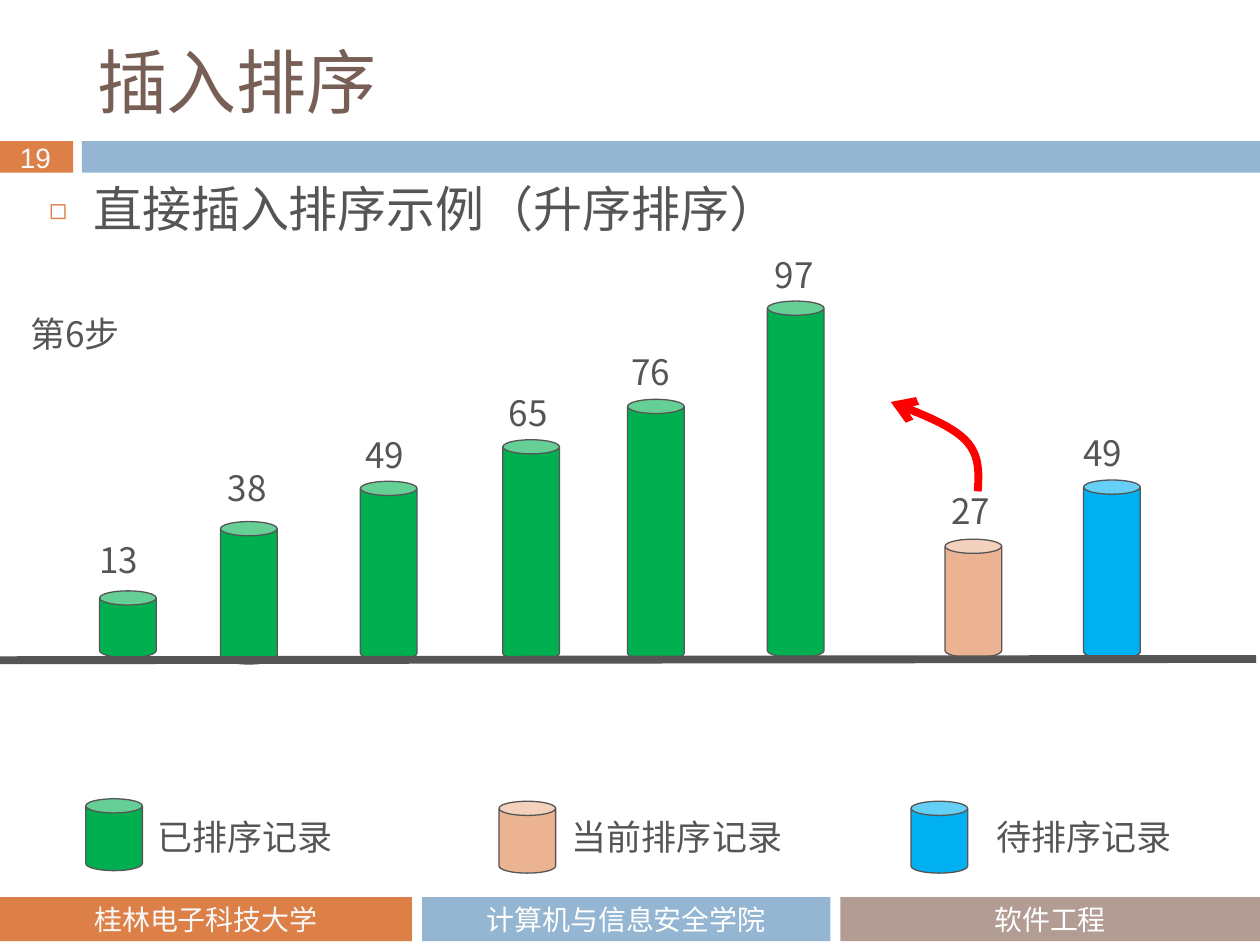
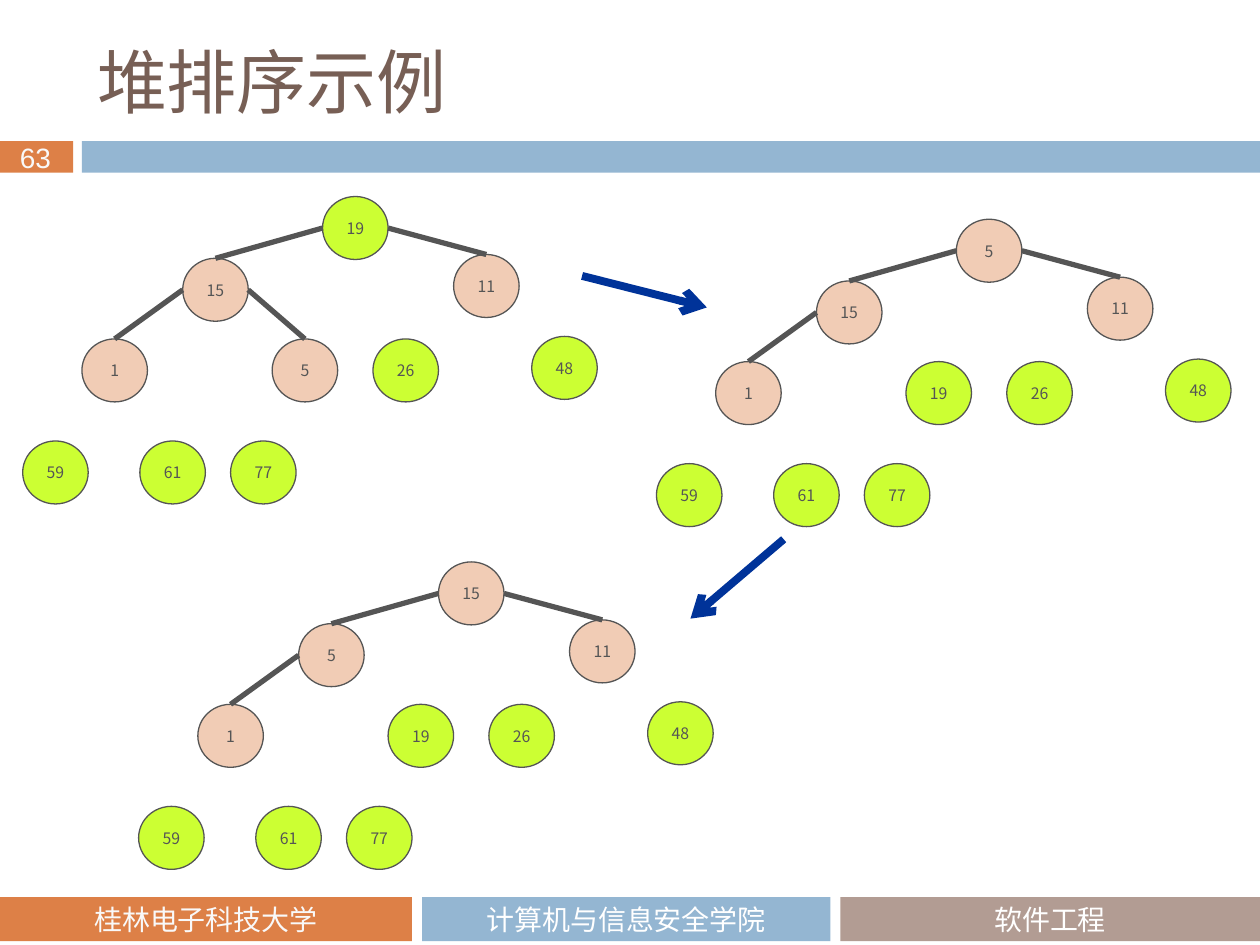
"""Build two sorting lecture slides: an insertion sort step and heap sort stages."""
from dataclasses import dataclass
from typing import NamedTuple

from lxml.etree import SubElement
from pptx import Presentation
from pptx.dml.color import RGBColor
from pptx.enum.shapes import MSO_CONNECTOR, MSO_SHAPE
from pptx.enum.text import MSO_ANCHOR as Anchor, MSO_AUTO_SIZE as AutoSize, PP_ALIGN as Align
from pptx.oxml.ns import qn
from pptx.util import Pt

PX = 9144

WHITE = RGBColor(0xFF, 0xFF, 0xFF)
PALE = RGBColor(0xF9, 0xF9, 0xF9)
GREY = RGBColor(0x55, 0x55, 0x55)
BROWN = RGBColor(0x77, 0x5F, 0x55)
ORANGE = RGBColor(0xDD, 0x80, 0x47)
BLUE = RGBColor(0x94, 0xB6, 0xD2)
TAUPE = RGBColor(0xB2, 0x9C, 0x93)
GREEN = RGBColor(0x00, 0xB0, 0x50)
SKY = RGBColor(0x00, 0xB0, 0xF0)
PEACH = RGBColor(0xEB, 0xB3, 0x91)
LIME = RGBColor(0xCC, 0xFF, 0x33)
BLUSH = RGBColor(0xF1, 0xCC, 0xB5)
NAVY = RGBColor(0x00, 0x33, 0x99)
RED = RGBColor(0xFF, 0x00, 0x00)


class Area(NamedTuple):
    left: int
    top: int
    width: int
    height: int


class Point(NamedTuple):
    x: int
    y: int


@dataclass(frozen=True)
class TextStyle:
    size: int
    color: RGBColor
    font: str


@dataclass(frozen=True)
class Band:
    area: Area
    fill: RGBColor
    text: str = ""
    color: RGBColor = WHITE


@dataclass(frozen=True)
class Bar:
    value: int
    can: Area
    label: Point
    fill: RGBColor = GREEN


@dataclass(frozen=True)
class LegendEntry:
    text: str
    can: Point
    label: Area
    fill: RGBColor


@dataclass(frozen=True)
class Tree:
    offset: Point
    heap_size: int
    values: tuple[int, ...]


TITLE = TextStyle(40, BROWN, "Noto Sans CJK JP")
BODY = TextStyle(28, GREY, "Noto Sans CJK SC")
LABEL = TextStyle(20, GREY, "Noto Sans CJK SC")
NODE = TextStyle(9, GREY, "Noto Sans CJK SC")
NUMBER = TextStyle(16, PALE, "Arial")

BANDS = (
    Band(Area(0, 112, 58, 25), ORANGE),
    Band(Area(65, 112, 935, 25), BLUE),
    Band(Area(0, 712, 327, 35), ORANGE, "桂林电子科技大学", PALE),
    Band(Area(335, 712, 324, 35), BLUE, "计算机与信息安全学院"),
    Band(Area(667, 712, 333, 35), TAUPE, "软件工程"),
)

CAN_WIDTH = 45
BARS = (
    Bar(13, Area(79, 469, CAN_WIDTH, 53), Point(69, 422)),
    Bar(38, Area(175, 414, CAN_WIDTH, 113), Point(171, 365)),
    Bar(49, Area(286, 382, CAN_WIDTH, 142), Point(280, 339)),
    Bar(65, Area(399, 349, CAN_WIDTH, 175), Point(394, 305)),
    Bar(76, Area(498, 317, CAN_WIDTH, 207), Point(491, 273)),
    Bar(97, Area(609, 239, CAN_WIDTH, 283), Point(605, 196)),
    Bar(27, Area(750, 428, CAN_WIDTH, 94), Point(745, 383), PEACH),
    Bar(49, Area(860, 381, CAN_WIDTH, 142), Point(850, 337), SKY),
)
LEGEND = (
    LegendEntry("已排序记录", Point(68, 634), Area(115, 642, 160, 44), GREEN),
    LegendEntry("当前排序记录", Point(396, 636), Area(444, 642, 188, 44), PEACH),
    LegendEntry("待排序记录", Point(723, 636), Area(781, 642, 160, 44), SKY),
)
MOVE_CURVE = (
    (Point(776, 390), Point(777, 376), Point(778, 361), Point(766, 349)),
    (Point(766, 349), Point(754, 337), Point(730, 328), Point(707, 319)),
)
CURVE_STEPS = 12

NODE_WIDTH, NODE_HEIGHT = 52, 50
SLOTS = (
    Point(256, 156), Point(145, 205), Point(360, 202), Point(65, 269), Point(216, 269),
    Point(296, 269), Point(422, 267), Point(18, 350), Point(111, 350), Point(183, 350),
)
SMALLEST_SORTED = 19
TREES = (
    Tree(Point(0, 0), 5, (19, 15, 11, 1, 5, 26, 48, 59, 61, 77)),
    Tree(Point(503, 18), 4, (5, 15, 11, 1, 19, 26, 48, 59, 61, 77)),
    Tree(Point(92, 290), 4, (15, 5, 11, 1, 19, 26, 48, 59, 61, 77)),
)
STAGE_ARROWS = ((Point(462, 219), Point(561, 244)), (Point(622, 428), Point(548, 491)))


def emu(lengths) -> list[int]:
    return [round(length * PX) for length in lengths]


def write(shape, text: str, style: TextStyle, anchor=Anchor.MIDDLE, align=Align.LEFT, wrap=True) -> None:
    frame = shape.text_frame
    frame.text = text
    frame.auto_size = AutoSize.NONE
    frame.word_wrap = wrap
    frame.vertical_anchor = anchor
    para = frame.paragraphs[0]
    para.alignment = align
    for span in para.runs:
        span.font.size = Pt(style.size)
        span.font.color.rgb = style.color
        span.font.name = style.font
        SubElement(span.font._element, qn("a:ea"), typeface=style.font)


def add_text(page, area: Area, text: str, style: TextStyle, anchor=Anchor.MIDDLE, wrap=False) -> None:
    box = page.shapes.add_textbox(*emu(area))
    write(box, text, style, anchor, wrap=wrap)


def add_shape(page, kind, area: Area, fill: RGBColor, outlined=True):
    shape = page.shapes.add_shape(kind, *emu(area))
    shape.shadow.inherit = False
    shape.fill.solid()
    shape.fill.fore_color.rgb = fill
    if outlined:
        shape.line.color.rgb = GREY
        shape.line.width = Pt(0.75)
    else:
        shape.line.fill.background()
    return shape


def set_line(shape, color: RGBColor, width: float, arrow: bool) -> None:
    shape.line.color.rgb = color
    shape.line.width = Pt(width)
    if arrow:
        SubElement(shape.line._get_or_add_ln(), qn("a:tailEnd"), type="arrow")


def add_line(page, start: Point, end: Point, color: RGBColor, width: float, arrow=False) -> None:
    line = page.shapes.add_connector(MSO_CONNECTOR.STRAIGHT, *emu(start), *emu(end))
    set_line(line, color, width, arrow)
    SubElement(line._element.spPr, qn("a:effectLst"))


def place(shape, area: Area) -> None:
    shape.left, shape.top, shape.width, shape.height = emu(area)


def add_page(deck, layout: int, title: str, number: int):
    page = deck.slides.add_slide(deck.slide_layouts[layout])
    for band in BANDS:
        shape = add_shape(page, MSO_SHAPE.RECTANGLE, band.area, band.fill, outlined=False)
        if band.text:
            write(shape, band.text, TextStyle(16, band.color, "Cabin"), align=Align.CENTER)
    add_text(page, Area(6, 106, 48, 37), str(number), NUMBER)
    place(page.shapes.title, Area(67, 25, 892, 78))
    write(page.shapes.title, title, TITLE)
    return page


def add_bullet(page, text: str) -> None:
    body = page.placeholders[1]
    place(body, Area(29, 142, 892, 74))
    write(body, text, BODY, Anchor.TOP)
    para = body.text_frame.paragraphs[0]
    para.line_spacing = Pt(30)
    para.space_before = Pt(0)
    props = para._p.get_or_add_pPr()
    props.set("marL", str(35 * PX))
    props.set("indent", str(-35 * PX))
    color = SubElement(props, qn("a:buClr"))
    SubElement(color, qn("a:srgbClr"), val=str(ORANGE))
    SubElement(props, qn("a:buSzPct"), val="60000")
    SubElement(props, qn("a:buFont"), typeface=BODY.font)
    SubElement(props, qn("a:buChar"), char="◻")


def bezier(curve: tuple[Point, ...], t: float) -> list[int]:
    weights = ((1 - t) ** 3, 3 * t * (1 - t) ** 2, 3 * t * t * (1 - t), t ** 3)
    return emu(sum(w * value for w, value in zip(weights, axis)) for axis in zip(*curve))


def add_move_arrow(page) -> None:
    points = [bezier(curve, step / CURVE_STEPS) for curve in MOVE_CURVE for step in range(1, CURVE_STEPS + 1)]
    builder = page.shapes.build_freeform(*emu(MOVE_CURVE[0][0]), scale=1.0)
    builder.add_line_segments(points, close=False)
    arrow = builder.convert_to_shape()
    arrow.shadow.inherit = False
    arrow.fill.background()
    set_line(arrow, RED, 4.5, arrow=True)


def add_insertion_sort(deck) -> None:
    page = add_page(deck, 1, "插入排序", 19)
    add_bullet(page, "直接插入排序示例（升序排序）")
    for bar in BARS:
        add_shape(page, MSO_SHAPE.CAN, bar.can, bar.fill)
        add_text(page, Area(*bar.label, 55, 44), str(bar.value), LABEL)
    for entry in LEGEND:
        add_shape(page, MSO_SHAPE.CAN, Area(*entry.can, CAN_WIDTH, 57), entry.fill)
        add_text(page, entry.label, entry.text, LABEL)
    add_line(page, Point(0, 524), Point(997, 523), GREY, 4.5)
    add_text(page, Area(14, 243, 94, 44), "第6步", LABEL, Anchor.TOP, wrap=True)
    add_move_arrow(page)


def add_tree(page, tree: Tree) -> None:
    spots = [Point(slot.x + tree.offset.x, slot.y + tree.offset.y) for slot in SLOTS]
    for spot, value in zip(spots, tree.values):
        fill = LIME if value >= SMALLEST_SORTED else BLUSH
        node = add_shape(page, MSO_SHAPE.OVAL, Area(*spot, NODE_WIDTH, NODE_HEIGHT), fill)
        write(node, str(value), NODE, align=Align.CENTER, wrap=False)
    for child in range(1, tree.heap_size):
        parent = spots[(child - 1) // 2]
        side = parent.x if child % 2 else parent.x + NODE_WIDTH
        start = Point(side, parent.y + NODE_HEIGHT // 2)
        end = Point(spots[child].x + NODE_WIDTH // 2, spots[child].y)
        add_line(page, start, end, GREY, 3)


def add_heap_sort(deck) -> None:
    page = add_page(deck, 5, "堆排序示例", 63)
    for tree in TREES:
        add_tree(page, tree)
    for start, end in STAGE_ARROWS:
        add_line(page, start, end, NAVY, 4.5, arrow=True)


def main() -> None:
    deck = Presentation()
    deck.slide_width, deck.slide_height = emu((1000, 750))
    add_insertion_sort(deck)
    add_heap_sort(deck)
    deck.save("out.pptx")


if __name__ == "__main__":
    main()
